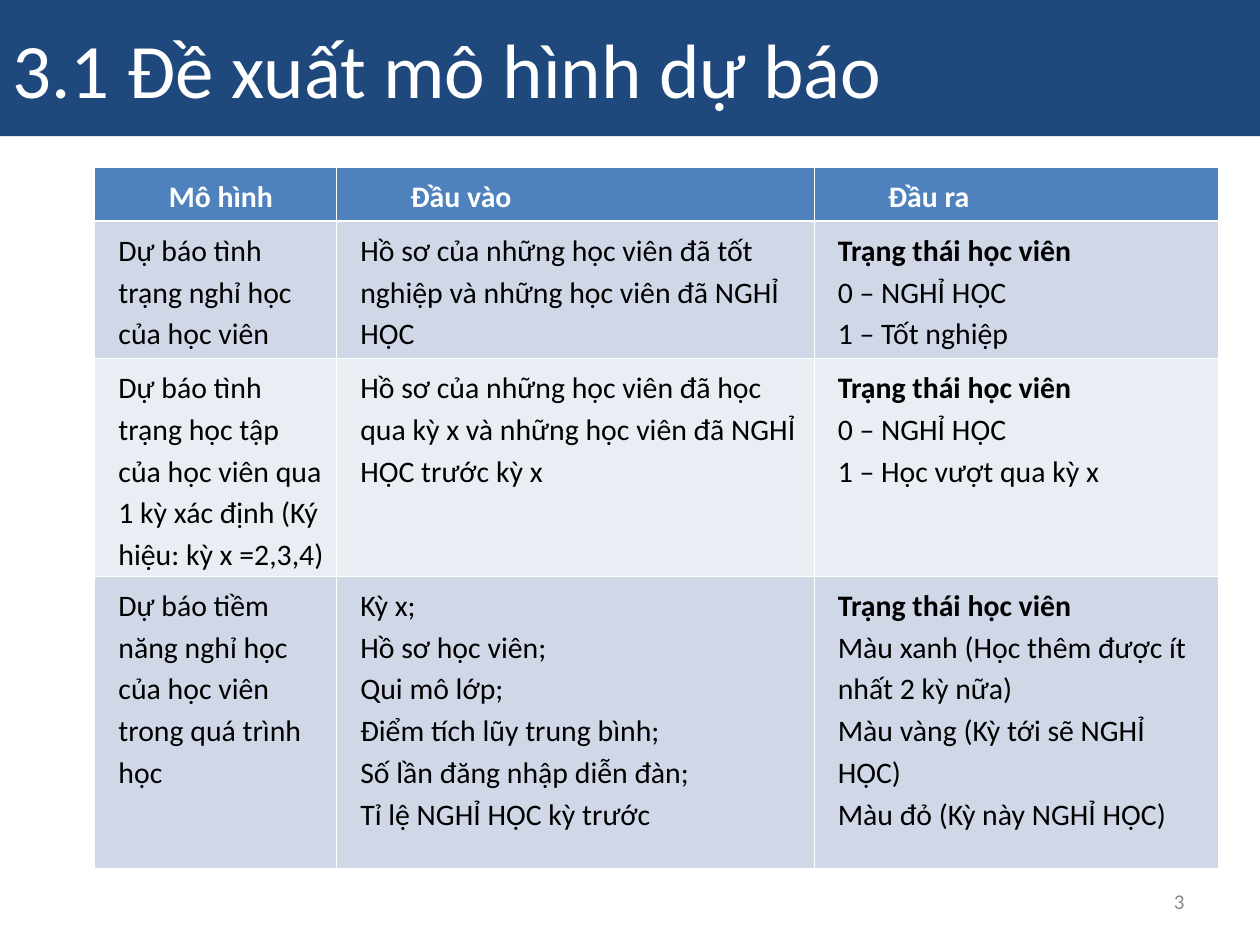
import pptx
import pptx.dml.color
import pptx.enum.text
import pptx.oxml
import pptx.oxml.ns
import pptx.util
from dataclasses import dataclass


@dataclass(frozen=True)
class Theme:
    font: str = "Calibri"
    white: str = "FFFFFF"
    black: str = "000000"
    banner: str = "1F497D"
    header: str = "4F81BD"
    bands: tuple = ("E9EDF4", "D0D8E8")
    number: str = "898989"
    title_size: int = 44
    table_size: int = 17
    number_size: int = 12
    thin: float = 0.45
    thick: float = 1.47


THEME = Theme()
COLUMNS, ROWS = 100, 75
UNIT = pptx.util.Inches(0.1)  # one grid square

STATUS = "Trạng thái học viên"
# Each cell is a list of paragraphs; "\n" is a line break inside a paragraph.
MODELS = [
    [["Mô hình"], ["Đầu vào"], ["Đầu ra"]],
    [
        ["Dự báo tình trạng nghỉ học của học viên"],
        ["Hồ sơ của những học viên đã tốt nghiệp và những học viên đã NGHỈ HỌC"],
        [STATUS + "\n0 – NGHỈ HỌC\n1 – Tốt nghiệp"],
    ],
    [
        ["Dự báo tình trạng học tập của học viên qua 1 kỳ xác định (Ký hiệu: kỳ x =2,3,4)"],
        ["Hồ sơ của những học viên đã học qua kỳ x và những học viên đã NGHỈ HỌC trước kỳ x"],
        [STATUS + "\n0 – NGHỈ HỌC", "1 – Học vượt qua kỳ x"],
    ],
    [
        ["Dự báo tiềm năng nghỉ học của học viên trong quá trình học"],
        [
            "Kỳ x;",
            "Hồ sơ học viên;",
            "Qui mô lớp;\nĐiểm tích lũy trung bình;\n"
            "Số lần đăng nhập diễn đàn;\nTỉ lệ NGHỈ HỌC kỳ trước",
        ],
        [
            STATUS + "\nMàu xanh (Học thêm được ít nhất 2 kỳ nữa)",
            "Màu vàng (Kỳ tới sẽ NGHỈ HỌC)\nMàu đỏ (Kỳ này NGHỈ HỌC)",
        ],
    ],
]
COLUMN_SPANS = [19.2, 37.9, 32.1]
ROW_SPANS = [4.2, 10.9, 17.2, 23.2]


def add_run(paragraph, text, size, color, bold=False):
    run = paragraph.add_run()
    run.text = text
    run.font.name = THEME.font
    run.font.size = pptx.util.Pt(size)
    run.font.bold = bold
    run.font.color.rgb = pptx.dml.color.RGBColor.from_string(color)


def add_border(cell, side, points):
    """Draw one white side (L, R, T or B, in that order) before the cell is filled."""
    cell._tc.get_or_add_tcPr().append(pptx.oxml.parse_xml(
        f'<a:ln{side} {pptx.oxml.ns.nsdecls("a")} w="{pptx.util.Pt(points)}">'
        f'<a:solidFill><a:srgbClr val="{THEME.white}"/></a:solidFill></a:ln{side}>'
    ))


deck = pptx.Presentation()
deck.slide_width, deck.slide_height = COLUMNS * UNIT, ROWS * UNIT
slide = deck.slides.add_slide(deck.slide_layouts[5])

# Title banner
title = slide.shapes.title
title.left, title.top = 0, 0
title.width, title.height = COLUMNS * UNIT, int(10.8 * UNIT)
title.fill.solid()
title.fill.fore_color.rgb = pptx.dml.color.RGBColor.from_string(THEME.banner)
title.text_frame.auto_size = pptx.enum.text.MSO_AUTO_SIZE.NONE
title.text_frame.vertical_anchor = pptx.enum.text.MSO_ANCHOR.MIDDLE
heading = title.text_frame.paragraphs[0]
heading.alignment = pptx.enum.text.PP_ALIGN.LEFT
add_run(heading, "3.1 Đề xuất mô hình dự báo", THEME.title_size, THEME.white)

# Slide number
page = slide.shapes.add_textbox(
    int(71.7 * UNIT), int(69.5 * UNIT), int(23.3 * UNIT), 4 * UNIT
).text_frame
page.word_wrap = True
page.vertical_anchor = pptx.enum.text.MSO_ANCHOR.MIDDLE
page.paragraphs[0].alignment = pptx.enum.text.PP_ALIGN.RIGHT
add_run(page.paragraphs[0], "3", THEME.number_size, THEME.number)

# Forecast models
models = slide.shapes.add_table(
    len(ROW_SPANS), len(COLUMN_SPANS), int(7.5 * UNIT), int(13.3 * UNIT),
    int(sum(COLUMN_SPANS) * UNIT), int(sum(ROW_SPANS) * UNIT),
).table
for column, span in zip(models.columns, COLUMN_SPANS):
    column.width = int(span * UNIT)
for row, span in zip(models.rows, ROW_SPANS):
    row.height = int(span * UNIT)

for r, contents in enumerate(MODELS):
    is_header = r == 0
    fill = THEME.header if is_header else THEME.bands[r % 2]
    color = THEME.white if is_header else THEME.black
    indent = int((5 if is_header else 1) * UNIT)
    for c, paragraphs in enumerate(contents):
        cell = models.cell(r, c)
        cell.margin_left = cell.margin_right = int(0.9 * UNIT)
        cell.margin_top = cell.margin_bottom = int(0.5 * UNIT)
        add_border(cell, "L", THEME.thin)
        add_border(cell, "R", THEME.thin)
        add_border(cell, "T", THEME.thick if r == 1 else THEME.thin)
        add_border(cell, "B", THEME.thick if is_header else THEME.thin)
        cell.fill.solid()
        cell.fill.fore_color.rgb = pptx.dml.color.RGBColor.from_string(fill)
        for p, text in enumerate(paragraphs):
            frame = cell.text_frame
            paragraph = frame.add_paragraph() if p else frame.paragraphs[0]
            properties = paragraph._p.get_or_add_pPr()
            properties.set("marL", str(indent))
            properties.set("indent", "0")
            paragraph.line_spacing = 1.15
            for n, line in enumerate(text.split("\n")):
                if n:
                    paragraph.add_line_break()
                add_run(paragraph, line, THEME.table_size, color, is_header or line == STATUS)
        if c == len(contents) - 1:
            paragraph.space_after = pptx.util.Pt(10)

deck.save("out.pptx")
